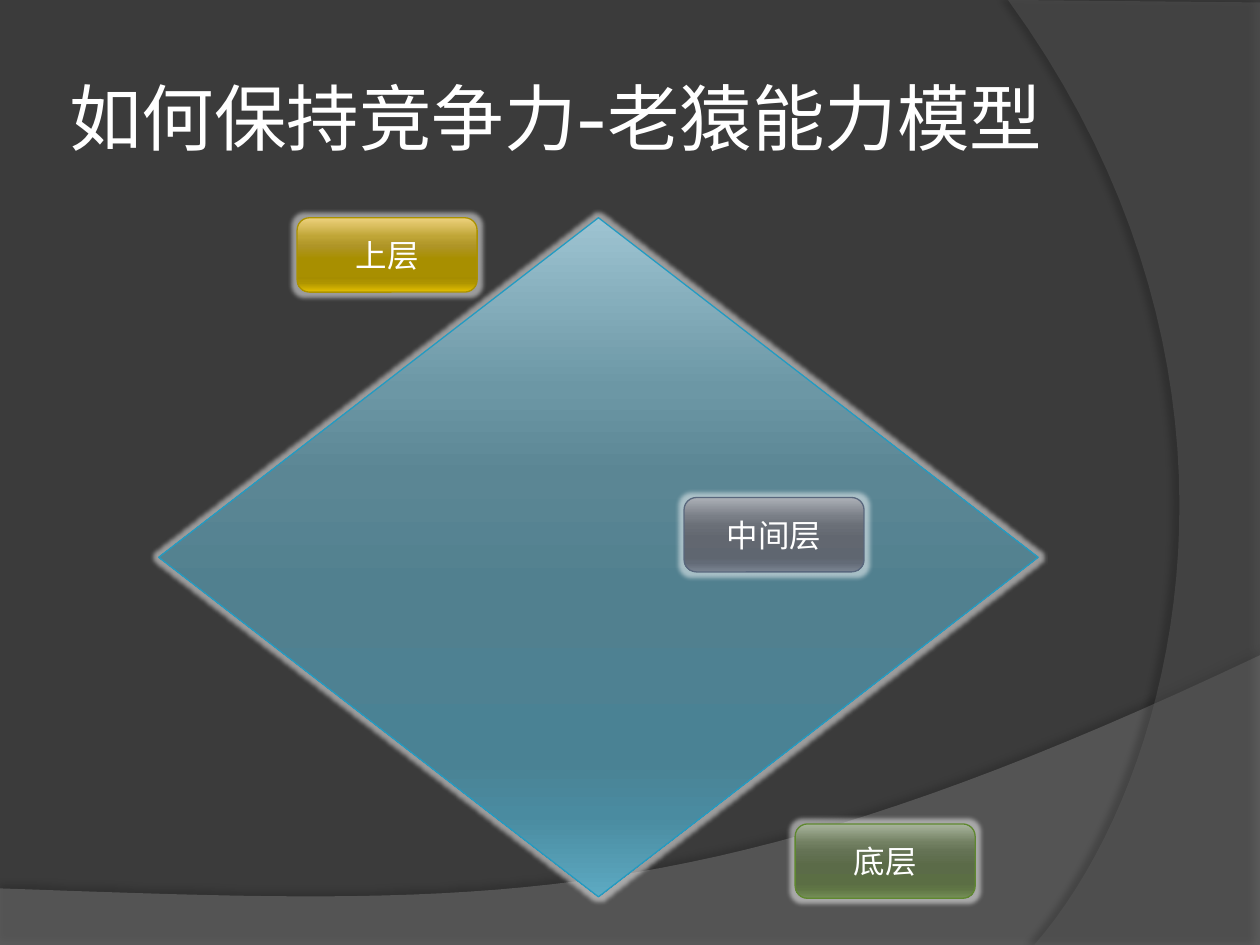
"""Build the capability model slide: a diamond with three layer labels."""
import lxml.etree
import pptx
import pptx.dml.color
import pptx.enum.shapes
import pptx.enum.text
import pptx.oxml.ns
import pptx.util

Cm = pptx.util.Cm
Pt = pptx.util.Pt
SHAPE = pptx.enum.shapes.MSO_SHAPE
qn = pptx.oxml.ns.qn

COLOURS = {"page": "3B3B3B", "text": "FFFFFF", "glow": "FFFFFF", "shadow": "000000",
           "hill": "7F7F7F", "arc": "5E5E5E"}
STOPS = (0, 25, 38, 55, 80, 88, 100)
GLOSSES = {
    "blue": ("239BC2", "9EC4D2 6C97A5 5B8694 51808F 4A8294 4A8BA0 5DAAC2"),
    "gold": ("AB9200", "EED27E BFA536 AF9527 A88F00 A68D00 AF9500 E6C100"),
    "slate": ("59677D", "ACB0B7 7A7F87 6A6F77 626770 5F6670 636B77 7B8492"),
    "green": ("5F882F", "A9B59D 728062 647254 5B6B48 5B6E44 607645 769058"),
}
TITLE = "如何保持竞争力-老猿能力模型"
TITLE_AREA = (1.27, 0.76, 20.75, 3.18)
DIAMOND = (3.2, 4.39, 17.73, 13.69)
LABEL_SIZE = (3.63, 1.5)
LABELS = [("上层", "gold", 5.99, 4.39),
          ("中间层", "slate", 13.79, 10.03),
          ("底层", "green", 16.03, 16.61)]
BACKDROPS = [
    {"colour": "hill", "alpha": 45, "shadow": (35, 4, 3.5, 270),
     "corners": [(0, 17.91), (0, 19.05), (25.4, 19.05), (25.4, 13.21)],
     "curve": [(14.2, 18.52), (9.93, 18.26), (0, 17.91)]},
    {"colour": "arc", "alpha": 40, "shadow": (45, 4, 4, 180),
     "corners": [(25.4, 0.05), (25.4, 19.05), (20.85, 19.05)],
     "curve": [(23.75, 15.72), (25.86, 7.62), (20.32, 0)]},
]
CURVE_STEPS = 40


def rgb(value):
    return pptx.dml.color.RGBColor.from_string(value)


def add_colour(parent, value, alpha=None):
    colour = lxml.etree.SubElement(parent, qn("a:srgbClr"), val=value)
    if alpha is not None:
        lxml.etree.SubElement(colour, qn("a:alpha"), val=str(alpha * 1000))


def add_effect(shape, tag, colour, alpha, **settings):
    shape.shadow.inherit = False
    effects = shape.element.spPr.find(qn("a:effectLst"))
    values = {key: str(value) for key, value in settings.items()}
    add_colour(lxml.etree.SubElement(effects, qn(tag), values), COLOURS[colour], alpha)


def bezier(points):
    for step in range(1, CURVE_STEPS + 1):
        t = step / CURVE_STEPS
        weights = ((1 - t) ** 3, 3 * t * (1 - t) ** 2, 3 * t * t * (1 - t), t ** 3)
        yield tuple(sum(w * p[axis] for w, p in zip(weights, points)) for axis in (0, 1))


def add_backdrop(page, backdrop):
    corners = backdrop["corners"]
    outline = corners + list(bezier(corners[-1:] + backdrop["curve"]))
    points = [(Cm(x), Cm(y)) for x, y in outline]
    builder = page.shapes.build_freeform(*points[0])
    builder.add_line_segments(points[1:], close=True)
    shape = builder.convert_to_shape()
    shape.fill.solid()
    shape.fill.fore_color.rgb = rgb(COLOURS[backdrop["colour"]])
    colour = shape.element.spPr.find(qn("a:solidFill"))[0]
    lxml.etree.SubElement(colour, qn("a:alpha"), val=str(backdrop["alpha"] * 1000))
    shape.line.fill.background()
    alpha, blur, distance, angle = backdrop["shadow"]
    add_effect(shape, "a:outerShdw", "shadow", alpha, blurRad=Pt(blur), dist=Pt(distance),
               dir=angle * 60000, algn="ctr", rotWithShape=0)


def add_glossy(page, kind, area, gloss):
    shape = page.shapes.add_shape(kind, *map(Cm, area))
    line, shades = GLOSSES[gloss]
    shape.fill.gradient()
    shape.fill.gradient_angle = 270
    stops = shape.element.spPr.find(qn("a:gradFill")).find(qn("a:gsLst"))
    for stop in list(stops):
        stops.remove(stop)
    for position, shade in zip(STOPS, shades.split()):
        add_colour(lxml.etree.SubElement(stops, qn("a:gs"), pos=str(position * 1000)), shade)
    shape.line.color.rgb = rgb(line)
    shape.line.width = Pt(0.75)
    add_effect(shape, "a:glow", "glow", 50, rad=Pt(5))
    return shape


def write(shape, text, font, size, align):
    frame = shape.text_frame
    frame.text = text
    frame.word_wrap = True
    frame.auto_size = pptx.enum.text.MSO_AUTO_SIZE.NONE
    frame.vertical_anchor = pptx.enum.text.MSO_ANCHOR.MIDDLE
    para = frame.paragraphs[0]
    para.alignment = align
    for span in para.runs:
        span.font.name = font
        span.font.size = Pt(size)
        span.font.color.rgb = rgb(COLOURS["text"])


def main():
    deck = pptx.Presentation()
    deck.slide_width, deck.slide_height = Cm(25.4), Cm(19.05)
    page = deck.slides.add_slide(deck.slide_layouts[5])
    page.background.fill.solid()
    page.background.fill.fore_color.rgb = rgb(COLOURS["page"])
    for backdrop in BACKDROPS:
        add_backdrop(page, backdrop)

    align = pptx.enum.text.PP_ALIGN
    title = page.shapes.title
    page.shapes.element.append(title.element)
    title.left, title.top, title.width, title.height = map(Cm, TITLE_AREA)
    write(title, TITLE, "Cabin", 41.4, align.LEFT)
    frame = title.text_frame
    frame.margin_left = frame.margin_right = frame.margin_top = frame.margin_bottom = Cm(0.13)

    add_glossy(page, SHAPE.DIAMOND, DIAMOND, "blue")
    for text, gloss, left, top in LABELS:
        label = add_glossy(page, SHAPE.ROUNDED_RECTANGLE, (left, top, *LABEL_SIZE), gloss)
        write(label, text, "Arial", 18, align.CENTER)
    deck.save("out.pptx")


if __name__ == "__main__":
    main()
